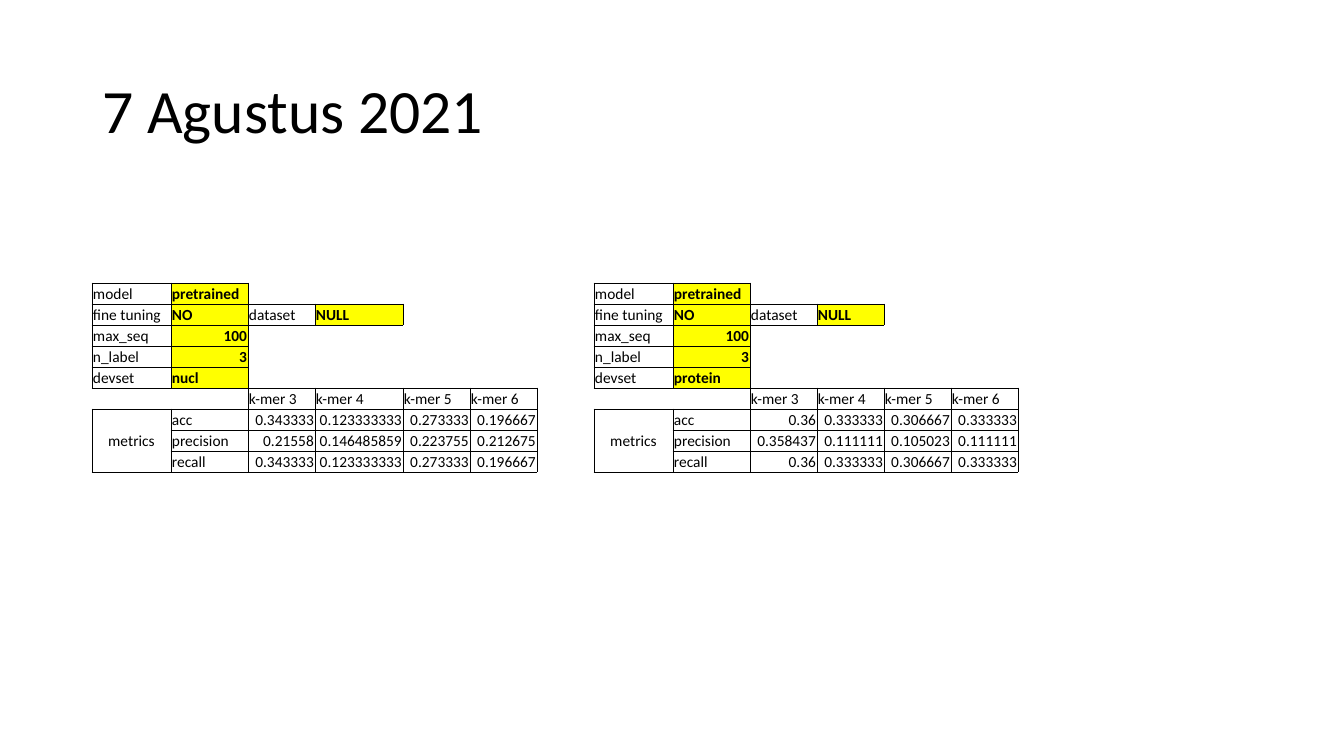
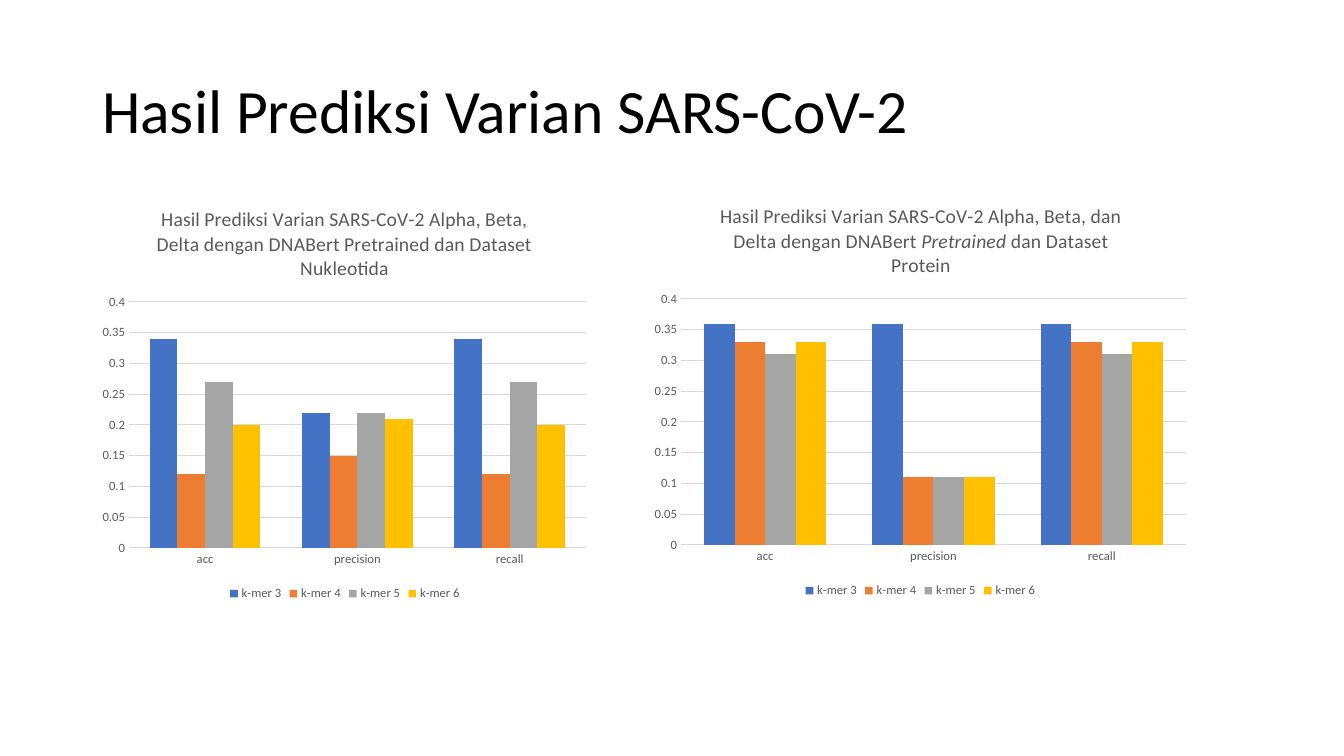
from pptx import Presentation
from pptx.chart.data import CategoryChartData as ChartData
from pptx.dml.color import RGBColor as RGB
from pptx.enum.chart import XL_CHART_TYPE as KIND
from pptx.enum.chart import XL_LEGEND_POSITION as SPOT
from pptx.enum.chart import XL_TICK_MARK as TICK
from pptx.enum.text import MSO_ANCHOR as ANCHOR
from pptx.enum.text import PP_ALIGN as ALIGN
from pptx.oxml.ns import qn
from pptx.util import Pt
from lxml.etree import SubElement as sub

PX = 914400 / 100.8
FONT = "Calibri"
HUES = {
    "ink": "000000", "mark": "FFFF00", "gray": "595959", "grid": "D9D9D9",
    "k-mer 3": "4472C4", "k-mer 4": "ED7D31",
    "k-mer 5": "A5A5A5", "k-mer 6": "FFC000",
}
MERS = ["k-mer 3", "k-mer 4", "k-mer 5", "k-mer 6"]
NAMES = ["acc", "precision", "recall"]
SIDES = {"a:lnL": (0, -1), "a:lnR": (0, 1), "a:lnT": (-1, 0), "a:lnB": (1, 0)}

# Boxes are left, top, width, height in pixels
TITLE = (92, 41, 1159, 146)
LEAD = "Hasil Prediksi Varian SARS-CoV-2 Alpha, Beta, "
SETS = [
    {
        "devset": "nucl", "left": 92, "cols": [79, 77, 67, 88, 67, 67],
        "scores": [
            ["0.343333", "0.123333333", "0.273333", "0.196667"],
            ["0.21558", "0.146485859", "0.223755", "0.212675"],
            ["0.343333", "0.123333333", "0.273333", "0.196667"],
        ],
        "box": (93, 189, 504, 416), "plot": (129, 302, 457, 246),
        "head": (153, 202),
        "runs": [LEAD + "Delta dengan DNABert Pretrained dan Dataset Nukleotida"],
    },
    {
        "devset": "protein", "left": 594, "cols": [79, 77, 67, 67, 67, 67],
        "scores": [
            ["0.36", "0.333333", "0.306667", "0.333333"],
            ["0.358437", "0.111111", "0.105023", "0.111111"],
            ["0.36", "0.333333", "0.306667", "0.333333"],
        ],
        "box": (644, 187, 553, 415), "plot": (681, 299, 505, 246),
        "head": (717, 200),
        "runs": [LEAD + "dan Delta dengan DNABert ", "Pretrained",
                 " dan Dataset Protein"],
    },
]


def style(font, size, hue, bold=False):
    """Set face, size, colour and weight of a font."""
    font.name, font.size, font.bold = FONT, Pt(size), bold
    font.color.rgb = RGB.from_string(HUES[hue])


def place(node, index, frame, box):
    """Fix a chart part at a pixel box inside the chart frame."""
    old = node.find(qn("c:layout"))
    if old is not None:
        node.remove(old)
    layout = sub(node, qn("c:layout"))
    node.insert(index, layout)
    manual = sub(layout, qn("c:manualLayout"))
    left, top, wide, high = frame
    parts = [("xMode", "edge"), ("yMode", "edge"),
             ("x", (box[0] - left) / wide), ("y", (box[1] - top) / high)]
    if len(box) == 4:
        parts.insert(0, ("layoutTarget", "inner"))
        parts += [("w", box[2] / wide), ("h", box[3] / high)]
    for tag, val in parts:
        sub(manual, qn("c:" + tag), val=str(val))


deck = Presentation()
deck.slide_width, deck.slide_height = round(1344 * PX), round(756 * PX)
pages = []
for text in ["7 Agustus 2021", "Hasil Prediksi Varian SARS-CoV-2"]:
    page = deck.slides.add_slide(deck.slide_layouts[5])
    title = page.shapes.title
    title.left, title.top, title.width, title.height = [round(n * PX) for n in TITLE]
    frame = title.text_frame
    frame.text = text
    frame.vertical_anchor = ANCHOR.MIDDLE
    para = frame.paragraphs[0]
    para.alignment, para.line_spacing = ALIGN.LEFT, 0.9
    style(para.font, 44, "ink")
    pages.append(page)

# Result tables
for item in SETS:
    rows = [
        ["model", "pretrained"],
        ["fine tuning", "NO", "dataset", "NULL"],
        ["max_seq", "100"],
        ["n_label", "3"],
        ["devset", item["devset"]],
        ["", "", *MERS],
    ]
    rows += [["metrics", name, *vals] for name, vals in zip(NAMES, item["scores"])]
    used = {(r, c) for r, row in enumerate(rows) for c, text in enumerate(row) if text}
    spot = [item["left"], 283, sum(item["cols"]), 21 * len(rows)]
    table = pages[0].shapes.add_table(
        len(rows), 6, *[round(n * PX) for n in spot]).table
    table.first_row = table.horz_banding = False
    for col, wide in zip(table.columns, item["cols"]):
        col.width = round(wide * PX)
    for r, row in enumerate(rows):
        table.rows[r].height = round(21 * PX)
        for c in range(6):
            cell = table.cell(r, c)
            text = row[c] if c < len(row) else ""
            joined = text == "metrics"
            marked = r < 5 and c in (1, 3) and text != ""
            cell.margin_left = cell.margin_right = cell.margin_top = round(PX)
            cell.margin_bottom = 0
            cell.vertical_anchor = ANCHOR.MIDDLE if joined else ANCHOR.BOTTOM
            para = cell.text_frame.paragraphs[0]
            if text and not (joined and r > 6):
                para.add_run().text = text
            else:
                sub(para._p, qn("a:endParaRPr"), sz="1100")
            style(para.font, 11, "ink", marked)
            if joined:
                para.alignment = ALIGN.CENTER
            elif text[:1].isdigit():
                para.alignment = ALIGN.RIGHT
            props = cell._tc.get_or_add_tcPr()
            for tag, (down, over) in SIDES.items():
                line = sub(props, qn(tag), w="6350")
                if used & {(r, c), (r + down, c + over)}:
                    fill = sub(line, qn("a:solidFill"))
                    sub(fill, qn("a:srgbClr"), val=HUES["ink"])
                else:
                    sub(line, qn("a:noFill"))
            if marked:
                cell.fill.solid()
                cell.fill.fore_color.rgb = RGB.from_string(HUES["mark"])
            else:
                cell.fill.background()
    table.cell(6, 0).merge(table.cell(8, 0))

# Result charts
for item in SETS:
    data = ChartData()
    data.categories = NAMES
    for mer, vals in zip(MERS, zip(*item["scores"])):
        data.add_series(mer, [round(float(val), 2) for val in vals])
    box = item["box"]
    chart = pages[1].shapes.add_chart(
        KIND.COLUMN_CLUSTERED, *[round(n * PX) for n in box], data).chart
    style(chart.font, 10, "ink")
    plot = chart.plots[0]
    plot.gap_width, plot.overlap, plot.vary_by_categories = 150, 0, False
    for bars in plot.series:
        bars.format.fill.solid()
        bars.format.fill.fore_color.rgb = RGB.from_string(HUES[bars.name])
    for axis in [chart.category_axis, chart.value_axis]:
        axis.major_tick_mark = axis.minor_tick_mark = TICK.NONE
        axis.format.line.fill.background()
        style(axis.tick_labels.font, 9, "gray")
    axis = chart.value_axis
    axis.minimum_scale, axis.maximum_scale, axis.major_unit = 0, 0.4, 0.05
    grid = axis.major_gridlines.format.line
    grid.width = Pt(0.75)
    grid.color.rgb = RGB.from_string(HUES["grid"])
    chart.has_legend = True
    chart.legend.position = SPOT.BOTTOM
    chart.legend.include_in_layout = False
    style(chart.legend.font, 9, "gray")
    chart.has_title = True
    para = chart.chart_title.text_frame.paragraphs[0]
    style(para.font, 14, "gray")
    for text in item["runs"]:
        run = para.add_run()
        run.text = text
        if text == "Pretrained":
            run.font.italic = True
    place(chart.chart_title.element, 1, box, item["head"])
    place(chart.element.find(".//" + qn("c:plotArea")), 0, box, item["plot"])

deck.save("out.pptx")
